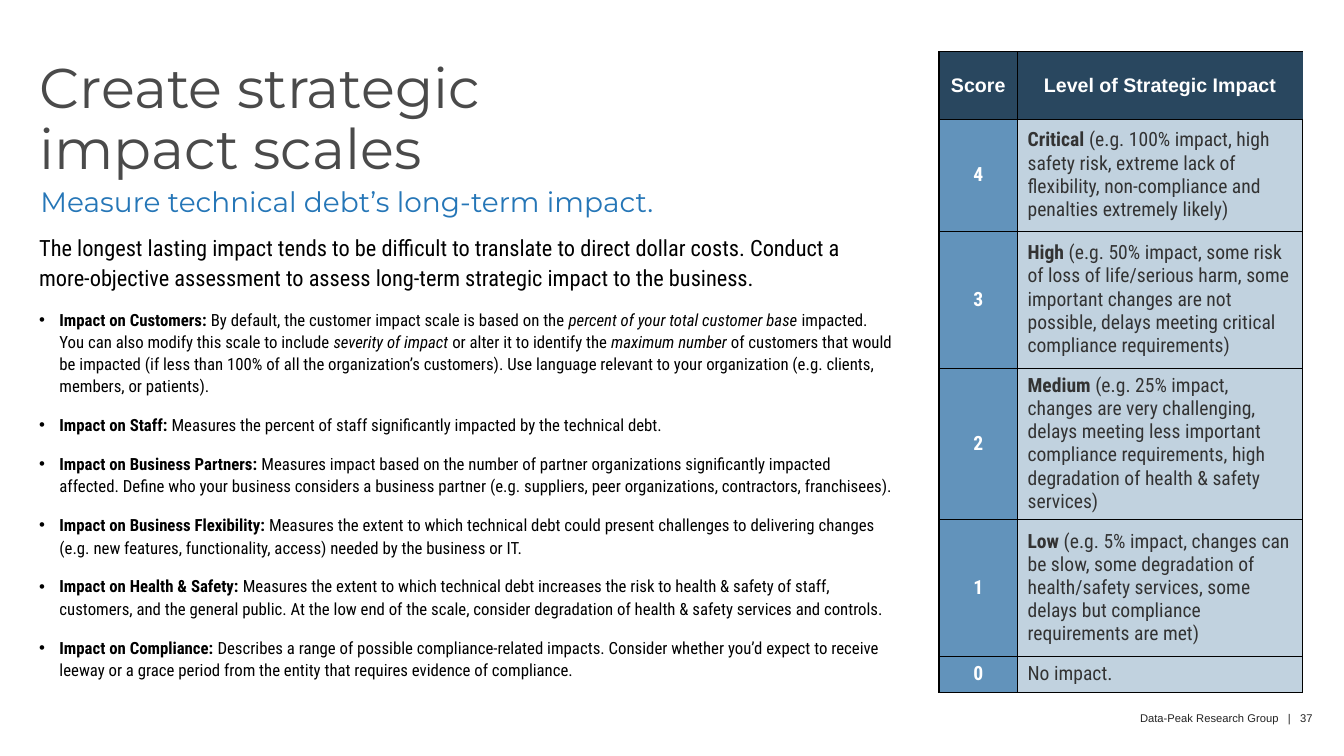
from lxml.etree import SubElement
from pptx import Presentation
from pptx.dml.color import RGBColor
from pptx.enum.text import MSO_ANCHOR as Anchor, PP_ALIGN as Align
from pptx.oxml.ns import qn
from pptx.util import Cm, Pt

# Content: a run is (text, style), where style is "", "b" or "i"
TITLE = [("Create strategic impact scales", "")]
SUBTITLE = [("Measure technical debt’s long-term impact.", "")]
INTRO = [("The longest lasting impact tends to be difficult to translate to direct dollar costs. "
          "Conduct a more-objective assessment to assess long-term strategic impact to the business.", "")]
IMPACTS = [
    [("Impact on Customers: ", "b"),
     ("By default, the customer impact scale is based on the ", ""),
     ("percent of your total customer base", "i"),
     (" impacted. You can also modify this scale to include ", ""),
     ("severity of impact", "i"),
     (" or alter it to identify the ", ""),
     ("maximum number ", "i"),
     ("of customers that would be impacted (if less than 100% of all the organization’s customers). "
      "Use language relevant to your organization (e.g. clients, members, or patients).", "")],
    [("Impact on Staff:", "b"),
     (" Measures the percent of staff significantly impacted by the technical debt.", "")],
    [("Impact on Business Partners:", "b"),
     (" Measures impact based on the number of partner organizations significantly impacted affected. "
      "Define who your business considers a business partner (e.g. suppliers, peer organizations, "
      "contractors, franchisees).", "")],
    [("Impact on Business Flexibility:", "b"),
     (" Measures the extent to which technical debt could present challenges to delivering changes "
      "(e.g. new features, functionality, access) needed by the business or IT.", "")],
    [("Impact on Health & Safety:", "b"),
     (" Measures the extent to which technical debt increases the risk to health & safety of staff, "
      "customers, and the general public. At the low end of the scale, consider degradation of "
      "health & safety services and controls.", "")],
    [("Impact on Compliance:", "b"),
     (" Describes a range of possible compliance-related impacts. Consider whether you’d expect to "
      "receive leeway or a grace period from the entity that requires evidence of compliance.", "")],
]
HEADINGS = ["Score", "Level of Strategic Impact"]
LEVELS = [
    ("4", "Critical", " (e.g. 100% impact, high safety risk, extreme lack of flexibility, "
                      "non-compliance and penalties extremely likely)"),
    ("3", "High", " (e.g. 50% impact, some risk of loss of life/serious harm, some important changes "
                  "are not possible, delays meeting critical compliance requirements)"),
    ("2", "Medium", " (e.g. 25% impact, changes are very challenging, delays meeting less important "
                    "compliance requirements, high degradation of health & safety services)"),
    ("1", "Low", " (e.g. 5% impact, changes can be slow, some degradation of health/safety services, "
                 "some delays but compliance requirements are met)"),
    ("0", "", "No impact."),
]
FOOTER = [("Data-Peak Research Group   |   37", "")]

# Formats
BODY_FONT = "Roboto Condensed"
TITLE_FONT = dict(name="Montserrat", size=40, color="4A4A4A")
SUBTITLE_FONT = dict(name="Montserrat", size=20, color="2576B7")
INTRO_FONT = dict(name=BODY_FONT, size=16, color="000000")
IMPACT_FONT = dict(INTRO_FONT, size=12)
FOOTER_FONT = dict(name="Arial", size=8, color="242424")
HEADING_FONT = dict(name="Arial", size=14, color="FFFFFF")
SCORE_FONT = dict(HEADING_FONT, name=BODY_FONT)
LEVEL_FONT = dict(SCORE_FONT, color="333333")
HEADING_FILL, SCORE_FILL, LEVEL_FILL = "29475F", "6293BB", "C1D2DF"

# Table measures in cm
COLUMN_WIDTHS = [1.98, 7.19]
ROW_HEIGHTS = [1.7, 2.82, 3.45, 3.45, 3.45, 0.91]


def rgb(value):
    return RGBColor.from_string(value)


def write(paragraph, runs, font, **layout):
    for key, value in layout.items():
        setattr(paragraph, key, value)
    for text, style in runs:
        run = paragraph.add_run()
        run.text = text
        formats = dict(name=font["name"], size=Pt(font["size"]), bold=style == "b", italic=style == "i")
        for key, value in formats.items():
            setattr(run.font, key, value)
        run.font.color.rgb = rgb(font["color"])


def add_box(left, top, width, height):
    frame = slide.shapes.add_textbox(Cm(left), Cm(top), Cm(width), Cm(height)).text_frame
    frame.word_wrap = True
    for side in ("left", "top", "right", "bottom"):
        setattr(frame, f"margin_{side}", 0)
    return frame


def add_bullet(paragraph, indent):
    properties = paragraph._p.get_or_add_pPr()
    properties.set("marL", str(indent))
    properties.set("indent", str(-indent))
    SubElement(properties, qn("a:buFont"), typeface="Arial")
    SubElement(properties, qn("a:buChar"), char="•")


def add_borders(cell, widths):
    properties = cell._tc.get_or_add_tcPr()
    for side, width in widths.items():
        line = SubElement(properties, qn(f"a:ln{side}"), w=str(Pt(width)))
        if width:
            fill = SubElement(line, qn("a:solidFill"))
            SubElement(fill, qn("a:srgbClr"), val="000000")
        else:
            SubElement(line, qn("a:noFill"))


deck = Presentation()
deck.slide_width, deck.slide_height = Cm(33.88), Cm(19.05)
slide = deck.slides.add_slide(deck.slide_layouts[6])

# Title, subtitle and footer
write(add_box(0.99, 1.52, 13.79, 3.15).paragraphs[0], TITLE, TITLE_FONT, line_spacing=0.9)
write(add_box(1.02, 4.57, 21.13, 1.27).paragraphs[0], SUBTITLE, SUBTITLE_FONT, line_spacing=1.1)
write(add_box(24.46, 17.92, 8.64, 0.33).paragraphs[0], FOOTER, FOOTER_FONT, alignment=Align.RIGHT)

# Introduction and impact list
body = add_box(0.99, 5.84, 21.56, 12.22)
write(body.paragraphs[0], INTRO, INTRO_FONT, line_spacing=1.1, space_after=Pt(6))
for impact in IMPACTS:
    item = body.add_paragraph()
    item.line_spacing = 1.1
    item.space_before = item.space_after = Pt(6)
    add_bullet(item, Cm(0.51))
    write(item, impact, IMPACT_FONT)

# Impact scale
scale = slide.shapes.add_table(len(ROW_HEIGHTS), len(COLUMN_WIDTHS), Cm(23.67), Cm(1.3),
                               Cm(sum(COLUMN_WIDTHS)), Cm(sum(ROW_HEIGHTS))).table
scale.first_row = scale.horz_banding = False
for column, width in zip(scale.columns, COLUMN_WIDTHS):
    column.width = Cm(width)
for row, height in zip(scale.rows, ROW_HEIGHTS):
    row.height = Cm(height)

rows = [[([(heading, "b")], HEADING_FONT, HEADING_FILL, Align.CENTER) for heading in HEADINGS]]
for score, level, details in LEVELS:
    wording = [(level, "b"), (details, "")] if level else [(details, "")]
    rows.append([([(score, "b")], SCORE_FONT, SCORE_FILL, Align.CENTER),
                 (wording, LEVEL_FONT, LEVEL_FILL, Align.LEFT)])

for r, row in enumerate(rows):
    for c, (runs, font, fill, alignment) in enumerate(row):
        cell = scale.cell(r, c)
        add_borders(cell, {"L": 1 if c == 0 else 0.5,
                           "R": 0 if (r, c) == (0, 1) else 0.5,
                           "T": 0.5,
                           "B": 1 if r == len(rows) - 1 else 0.5})
        cell.fill.solid()
        cell.fill.fore_color.rgb = rgb(fill)
        cell.vertical_anchor = Anchor.MIDDLE
        write(cell.text_frame.paragraphs[0], runs, font, alignment=alignment)

deck.save("out.pptx")
